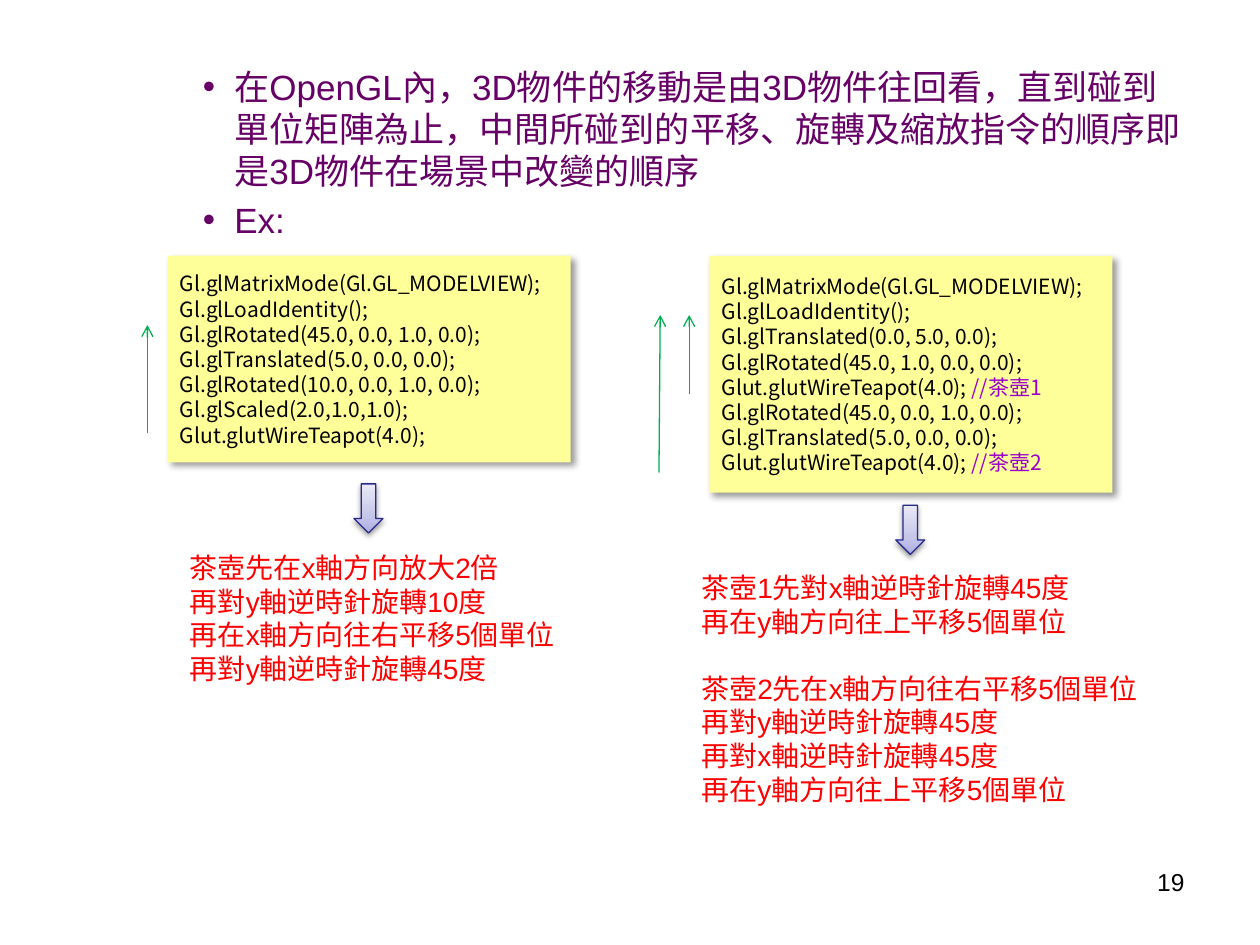
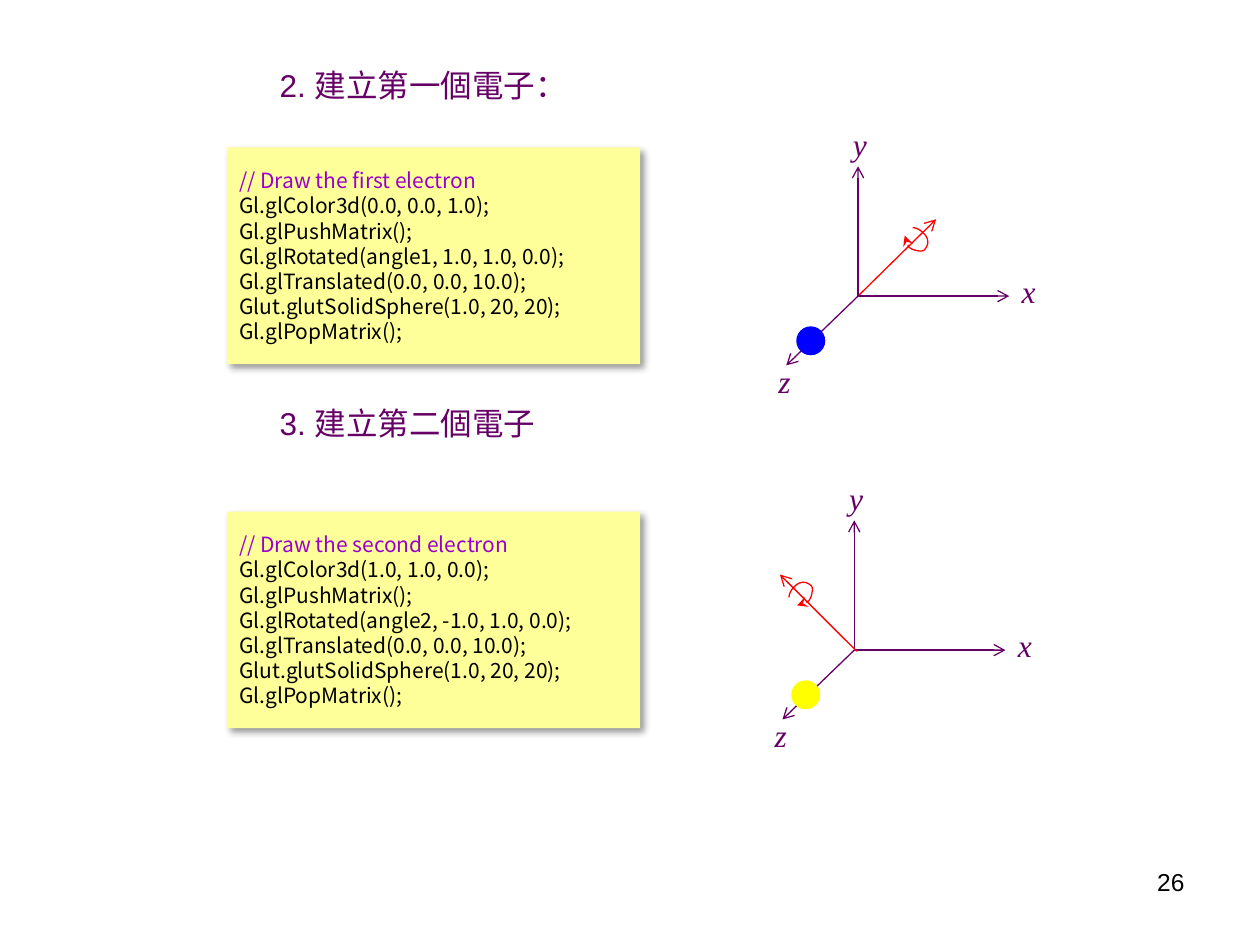
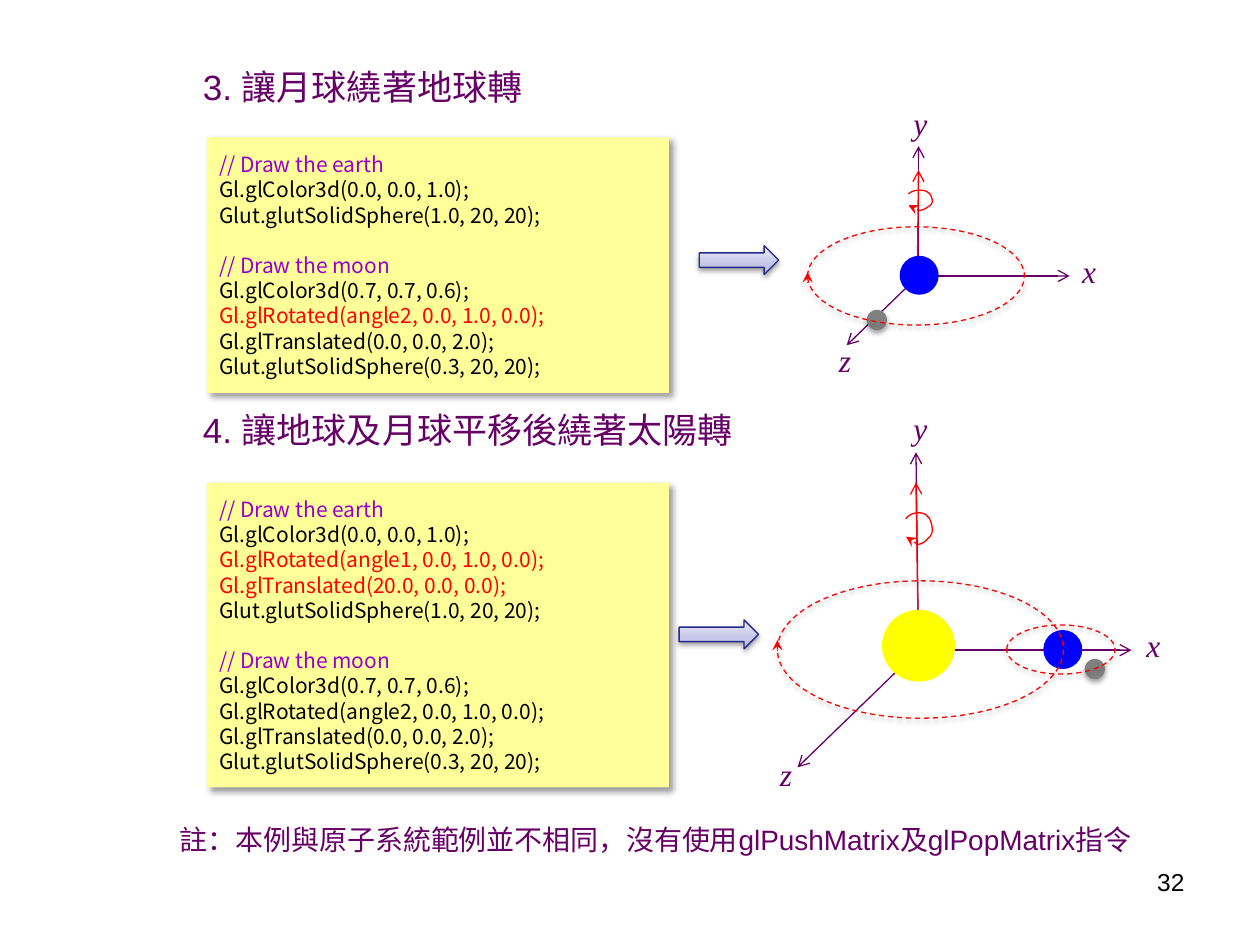
from copy import deepcopy
from dataclasses import dataclass
from typing import Any, Optional

from lxml.etree import SubElement
from pptx import Presentation
from pptx.dml.color import RGBColor
from pptx.enum.dml import MSO_LINE
from pptx.enum.shapes import MSO_CONNECTOR, MSO_SHAPE
from pptx.enum.text import MSO_ANCHOR, MSO_AUTO_SIZE, PP_ALIGN
from pptx.oxml.ns import qn
from pptx.util import Pt

PX = 9144  # EMU per px, 100 px to the inch

COLORS = {
    "heading": "660066", "text": "000000", "comment": "9900CC", "red": "FF0000",
    "code_fill": "FFFF99", "order": "00B050", "block_line": "2A2A89",
    "blue": "0000FF", "yellow": "FFFF00", "gray": "808080",
}
BLOCK_GRADIENT = ((0, "ADADE1"), (0.35, "C6C6E9"), (1, "E9E9F7"))

FONTS = {
    "point": {"name": "Arial", "size": Pt(20)},
    "step": {"name": "Arial", "size": Pt(18)},
    "remark": {"name": "Arial", "size": Pt(16)},
    "page": {"name": "Arial", "size": Pt(14)},
    "code": {"name": "Noto Sans CJK KR", "size": Pt(12)},
    "axis": {"name": "Times New Roman", "size": Pt(18), "italic": True},
}
CODE_GAP, REMARK_GAP, STEP_GAP = Pt(14.4), Pt(19.2), Pt(172)

Point = tuple[int, int]
Box = tuple[int, int, int, int]


@dataclass(frozen=True)
class Shadow:
    alpha: int
    blur: float
    distance: float
    angle: int


CARD_SHADOW = Shadow(40, 4, 3, 45)
SOFT_SHADOW = Shadow(38, 3.1, 1.6, 90)


@dataclass(frozen=True)
class CodeCard:
    box: Box
    blocks: tuple[str, ...]
    highlights: tuple[str, ...] = ()


@dataclass(frozen=True)
class Axes:
    """Arms reach from the origin; label offsets count from each arm's tip."""
    origin: Point
    reaches: tuple[Point, ...] = ((120, 0), (0, -103), (-57, 55))
    label_offsets: tuple[Point, ...] = ((0, -24), (-14, -38), (-16, -8))


@dataclass(frozen=True)
class Spin:
    """A rotation axis with a swirl around it."""
    start: Point
    end: Point
    swirl: Box
    turn: int = 0


@dataclass(frozen=True)
class Ball:
    box: Box
    color: str
    shadow: Optional[Shadow] = None


@dataclass(frozen=True)
class Orbit:
    box: Box
    marker_y: Optional[int] = None


def emu(lengths: tuple[int, ...]) -> list[int]:
    return [length * PX for length in lengths]


def rgb(color: str) -> RGBColor:
    return RGBColor.from_string(COLORS.get(color, color))


def assign(target: Any, values: dict[str, Any]) -> None:
    for name, value in values.items():
        setattr(target, name, value)


def write(paragraph: Any, words: str, font: str, color: str) -> None:
    run = paragraph.add_run()
    run.text = words
    assign(run.font, FONTS[font])
    run.font.color.rgb = rgb(color)


def next_paragraph(frame: Any, index: int) -> Any:
    return frame.add_paragraph() if index else frame.paragraphs[0]


def set_line(shape: Any, color: str, head: str = "", dashed: bool = False) -> None:
    assign(shape.line, {"width": Pt(0.75)})
    shape.line.color.rgb = rgb(color)
    if dashed:
        shape.line.dash_style = MSO_LINE.DASH
    if head:
        outline = shape._element.spPr.find(qn("a:ln"))
        SubElement(outline, qn("a:tailEnd"), type=head)


def set_shadow(shape: Any, shadow: Optional[Shadow]) -> None:
    shape.shadow.inherit = False
    if shadow is None:
        return
    effects = shape._element.spPr.find(qn("a:effectLst"))
    outer = SubElement(
        effects, qn("a:outerShdw"), blurRad=str(Pt(shadow.blur)), dist=str(Pt(shadow.distance)),
        dir=str(shadow.angle * 60000), algn="ctr", rotWithShape="0")
    black = SubElement(outer, qn("a:srgbClr"), val=COLORS["text"])
    SubElement(black, qn("a:alpha"), val=str(shadow.alpha * 1000))


def add_preset(slide: Any, kind: MSO_SHAPE, box: Box, fill: str = "",
               shadow: Optional[Shadow] = None) -> Any:
    """Add a preset shape without outline; no fill name means no fill."""
    shape = slide.shapes.add_shape(kind, *emu(box))
    if fill:
        shape.fill.solid()
        shape.fill.fore_color.rgb = rgb(fill)
    else:
        shape.fill.background()
    shape.line.fill.background()
    set_shadow(shape, shadow)
    return shape


def add_arrow(slide: Any, start: Point, end: Point, color: str, head: str = "arrow") -> None:
    arrow = slide.shapes.add_connector(MSO_CONNECTOR.STRAIGHT, *emu(start + end))
    set_line(arrow, color, head)
    SubElement(arrow._element.spPr, qn("a:effectLst"))


def add_block_arrow(slide: Any, kind: MSO_SHAPE, box: Box) -> None:
    arrow = add_preset(slide, kind, box, shadow=SOFT_SHADOW)
    arrow.fill.gradient()
    arrow.fill.gradient_angle = 90
    stops = arrow._element.spPr.find(".//" + qn("a:gsLst"))
    stops.append(deepcopy(stops[0]))
    for stop, (position, color) in zip(arrow.fill.gradient_stops, BLOCK_GRADIENT):
        stop.position = position
        stop.color.rgb = rgb(color)
    set_line(arrow, "block_line")


def add_text(slide: Any, box: Box, blocks: tuple[str, ...], font: str, color: str,
             align: PP_ALIGN = PP_ALIGN.LEFT, grow: bool = True) -> None:
    """Write blocks of lines, with a gap before every block but the first."""
    frame = slide.shapes.add_textbox(*emu(box)).text_frame
    fit = MSO_AUTO_SIZE.SHAPE_TO_FIT_TEXT if grow else MSO_AUTO_SIZE.NONE
    assign(frame, {"word_wrap": True, "auto_size": fit})
    count = 0
    for block in blocks:
        for row, line in enumerate(block.split("\n")):
            paragraph = next_paragraph(frame, count)
            paragraph.alignment = align
            if count and not row:
                paragraph.space_before = REMARK_GAP
            write(paragraph, line, font, color)
            count += 1


def add_code(slide: Any, card: CodeCard) -> None:
    shape = add_preset(slide, MSO_SHAPE.RECTANGLE, card.box, "code_fill", CARD_SHADOW)
    frame = shape.text_frame
    assign(frame, {"word_wrap": True, "vertical_anchor": MSO_ANCHOR.MIDDLE})
    count = 0
    for block in card.blocks:
        for row, line in enumerate(block.split("\n")):
            paragraph = next_paragraph(frame, count)
            paragraph.alignment = PP_ALIGN.LEFT
            if count and not row:
                paragraph.space_before = CODE_GAP
            command, slashes, comment = line.partition("//")
            if command:
                write(paragraph, command, "code", "red" if line in card.highlights else "text")
            if slashes:
                write(paragraph, slashes + comment, "code", "comment")
            count += 1


def add_axes(slide: Any, axes: Axes) -> None:
    left, top = axes.origin
    for name, (dx, dy), (shift_x, shift_y) in zip("xyz", axes.reaches, axes.label_offsets):
        tip = (left + dx, top + dy)
        add_arrow(slide, axes.origin, tip, "heading")
        label = (tip[0] + shift_x, tip[1] + shift_y, 38, 40 if name == "x" else 31)
        add_text(slide, label, (name,), "axis", "heading")


SWIRL_SIZE = (18, 16)
SWIRL_START = (0, 3)
SWIRL_CURVES = (
    ((2, 1), (5, 0), (8, 0)), ((10, 0), (13, 0), (15, 2)), ((17, 3), (18, 7), (18, 9)),
    ((18, 10), (17, 12), (15, 13)), ((14, 14), (11, 16), (8, 16)), ((6, 15), (3, 14), (0, 12)),
)


def swirl_points(box: Box, steps: int = 6) -> list[tuple[float, float]]:
    """Sample the swirl's cubic curves, stretched to the box, in EMU."""
    spots = [SWIRL_START]
    for first, second, end in SWIRL_CURVES:
        corners = (spots[-1], first, second, end)
        for step in range(1, steps + 1):
            t = step / steps
            weights = ((1 - t) ** 3, 3 * t * (1 - t) ** 2, 3 * t * t * (1 - t), t ** 3)
            spots.append(tuple(sum(w * c[i] for w, c in zip(weights, corners)) for i in (0, 1)))
    return [tuple((box[i] + spot[i] * box[i + 2] / SWIRL_SIZE[i]) * PX for i in (0, 1))
            for spot in spots]


def add_spin(slide: Any, spin: Spin) -> None:
    add_arrow(slide, spin.start, spin.end, "red")
    start, *others = swirl_points(spin.swirl)
    builder = slide.shapes.build_freeform(*start)
    builder.add_line_segments(others, close=False)
    swirl = builder.convert_to_shape()
    swirl.rotation = spin.turn
    swirl.fill.background()
    set_line(swirl, "red", "stealth")
    set_shadow(swirl, None)


def add_ball(slide: Any, ball: Ball) -> None:
    add_preset(slide, MSO_SHAPE.OVAL, ball.box, ball.color, ball.shadow)


def add_orbit(slide: Any, orbit: Orbit) -> None:
    ring = add_preset(slide, MSO_SHAPE.OVAL, orbit.box, shadow=SOFT_SHADOW)
    set_line(ring, "red", dashed=True)
    if orbit.marker_y is not None:
        left = orbit.box[0]
        add_arrow(slide, (left, orbit.marker_y), (left, orbit.marker_y - 8), "red", "stealth")


def start_slide(deck: Any, page: int, left: int, lines: tuple[str, ...], level: int = 2,
                font: str = "point", numbered: bool = True) -> Any:
    """Add a slide with its body list and page number; numbered steps stand far apart."""
    slide = deck.slides.add_slide(deck.slide_layouts[1])
    title, body = slide.placeholders
    title._element.getparent().remove(title._element)
    assign(body, dict(zip(("left", "top", "width", "height"), emu((left, 47, 900, 626)))))
    frame = body.text_frame
    frame.auto_size = MSO_AUTO_SIZE.NONE
    for index, line in enumerate(lines):
        paragraph = next_paragraph(frame, index)
        paragraph.level = level
        if numbered:
            if index:
                paragraph.space_before = STEP_GAP
            SubElement(paragraph._p.get_or_add_pPr(), qn("a:buNone"))
        write(paragraph, line, font, "heading")
    add_text(slide, (717, 683, 233, 52), (str(page),), "page", "text", PP_ALIGN.RIGHT, grow=False)
    return slide


def build_order_slide(deck: Any) -> None:
    slide = start_slide(deck, 19, 51, (
        "在OpenGL內，3D物件的移動是由3D物件往回看，直到碰到單位矩陣為止，"
        "中間所碰到的平移、旋轉及縮放指令的順序即是3D物件在場景中改變的順序",
        "Ex:"), numbered=False)
    setup = "Gl.glMatrixMode(Gl.GL_MODELVIEW);\nGl.glLoadIdentity();\n"
    add_code(slide, CodeCard((133, 203, 320, 164), (
        setup + "Gl.glRotated(45.0, 0.0, 1.0, 0.0);\nGl.glTranslated(5.0, 0.0, 0.0);\n"
        "Gl.glRotated(10.0, 0.0, 1.0, 0.0);\nGl.glScaled(2.0,1.0,1.0);\n"
        "Glut.glutWireTeapot(4.0);",)))
    add_code(slide, CodeCard((563, 203, 320, 188), (
        setup + "Gl.glTranslated(0.0, 5.0, 0.0);\nGl.glRotated(45.0, 1.0, 0.0, 0.0);\n"
        "Glut.glutWireTeapot(4.0); //茶壺1\nGl.glRotated(45.0, 0.0, 1.0, 0.0);\n"
        "Gl.glTranslated(5.0, 0.0, 0.0);\nGlut.glutWireTeapot(4.0); //茶壺2",)))
    add_block_arrow(slide, MSO_SHAPE.DOWN_ARROW, (281, 384, 23, 39))
    add_text(slide, (141, 432, 320, 118), (
        "茶壺先在x軸方向放大2倍\n再對y軸逆時針旋轉10度\n"
        "再在x軸方向往右平移5個單位\n再對y軸逆時針旋轉45度",), "remark", "red")
    add_block_arrow(slide, MSO_SHAPE.DOWN_ARROW, (711, 401, 23, 39))
    add_text(slide, (547, 448, 367, 199), (
        "茶壺1先對x軸逆時針旋轉45度\n再在y軸方向往上平移5個單位",
        "茶壺2先在x軸方向往右平移5個單位\n再對y軸逆時針旋轉45度\n"
        "再對x軸逆時針旋轉45度\n再在y軸方向往上平移5個單位"), "remark", "red")
    for start, end in (((117, 344), (117, 258)), ((547, 313), (547, 250)),
                       ((523, 375), (524, 250))):
        add_arrow(slide, start, end, "order")


def build_electron_slide(deck: Any) -> None:
    slide = start_slide(deck, 26, 62, ("2. 建立第一個電子：", "3. 建立第二個電子"),
                        level=3, font="step")
    electrons = (
        ("first", "0.0, 0.0, 1.0", "angle1, 1.0", 117, Axes((681, 235)),
         Ball((632, 259, 23, 23), "blue"),
         Spin((682, 234), (743, 174), (718, 183, 19, 16), 45)),
        ("second", "1.0, 1.0, 0.0", "angle2, -1.0", 406, Axes((678, 516)),
         Ball((628, 540, 23, 23), "yellow"),
         Spin((680, 517), (619, 456), (627, 463, 19, 16), 315)),
    )
    for ordinal, color, turn, top, axes, electron, spin in electrons:
        add_code(slide, CodeCard((180, top, 328, 172), (
            f"// Draw the {ordinal} electron\nGl.glColor3d({color});\nGl.glPushMatrix();\n"
            f"Gl.glRotated({turn}, 1.0, 0.0);\nGl.glTranslated(0.0, 0.0, 10.0);\n"
            "Glut.glutSolidSphere(1.0, 20, 20);\nGl.glPopMatrix();",)))
        add_axes(slide, axes)
        add_ball(slide, electron)
        add_spin(slide, spin)


def build_orbit_slide(deck: Any) -> None:
    slide = start_slide(deck, 32, 51, ("3. 讓月球繞著地球轉", "4. 讓地球及月球平移後繞著太陽轉"))
    earth_color = "// Draw the earth\nGl.glColor3d(0.0, 0.0, 1.0);\n"
    earth_sphere = "Glut.glutSolidSphere(1.0, 20, 20);"
    moon_turn = "Gl.glRotated(angle2, 0.0, 1.0, 0.0);"
    earth_moves = ("Gl.glRotated(angle1, 0.0, 1.0, 0.0);", "Gl.glTranslated(20.0, 0.0, 0.0);")
    moon = ("// Draw the moon\nGl.glColor3d(0.7, 0.7, 0.6);\n" + moon_turn
            + "\nGl.glTranslated(0.0, 0.0, 2.0);\nGlut.glutSolidSphere(0.3, 20, 20);")

    add_code(slide, CodeCard((164, 109, 367, 203), (earth_color + earth_sphere, moon),
                             (moon_turn,)))
    add_axes(slide, Axes((729, 219)))
    add_block_arrow(slide, MSO_SHAPE.RIGHT_ARROW, (555, 195, 63, 23))
    add_ball(slide, Ball((688, 246, 16, 16), "gray", SOFT_SHADOW))
    add_spin(slide, Spin((728, 221), (729, 135), (721, 151, 19, 16)))
    add_ball(slide, Ball((714, 203, 31, 31), "blue"))
    add_orbit(slide, Orbit((641, 180, 172, 78), 224))

    add_code(slide, CodeCard((164, 383, 367, 242), (
        "\n".join((earth_color + earth_moves[0], earth_moves[1], earth_sphere)), moon),
        earth_moves))
    add_axes(slide, Axes((729, 516), ((169, 0), (-2, -157), (-96, 93)),
                         ((2, -24), (-12, -39), (-24, -15))))
    add_block_arrow(slide, MSO_SHAPE.RIGHT_ARROW, (539, 492, 63, 23))
    add_spin(slide, Spin((729, 519), (727, 383), (719, 407, 21, 25), 359))
    for ball in (Ball((700, 484, 58, 57), "yellow"), Ball((828, 500, 31, 31), "blue"),
                 Ball((861, 523, 16, 16), "gray", SOFT_SHADOW)):
        add_ball(slide, ball)
    add_orbit(slide, Orbit((617, 461, 227, 109), 516))
    add_orbit(slide, Orbit((799, 496, 86, 39)))
    add_text(slide, (133, 648, 781, 37), (
        "註：本例與原子系統範例並不相同，沒有使用glPushMatrix及glPopMatrix指令",),
        "remark", "heading")


def main() -> None:
    deck = Presentation()
    assign(deck, {"slide_width": 1000 * PX, "slide_height": 750 * PX})
    build_order_slide(deck)
    build_electron_slide(deck)
    build_orbit_slide(deck)
    deck.save("out.pptx")


if __name__ == "__main__":
    main()
